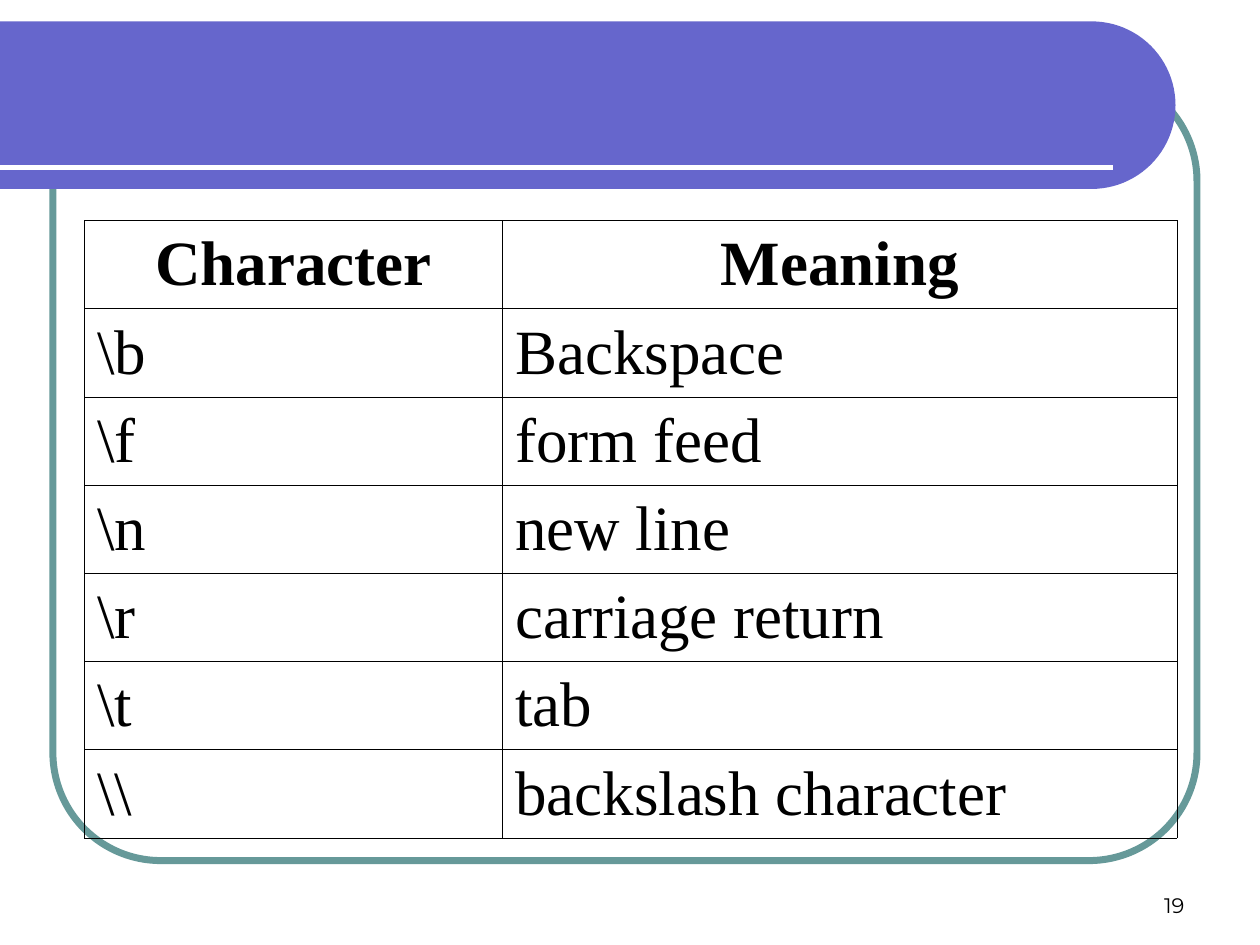
from math import cos, pi, sin

from lxml import etree
from pptx import Presentation
from pptx.dml.color import RGBColor
from pptx.enum.shapes import MSO_CONNECTOR, MSO_SHAPE
from pptx.enum.text import MSO_ANCHOR, PP_ALIGN
from pptx.oxml.ns import qn
from pptx.util import Inches, Pt

LEFT, CENTER, RIGHT = PP_ALIGN.LEFT, PP_ALIGN.CENTER, PP_ALIGN.RIGHT
MIDDLE, BOTTOM = MSO_ANCHOR.MIDDLE, MSO_ANCHOR.BOTTOM
ROUNDED, STRAIGHT = MSO_SHAPE.ROUNDED_RECTANGLE, MSO_CONNECTOR.STRAIGHT

# Content
HEADER = ("Character", "Meaning")
ESCAPES = [
    (r"\b", "Backspace"),
    (r"\f", "form feed"),
    (r"\n", "new line"),
    (r"\r", "carriage return"),
    (r"\t", "tab"),
    (r"\\", "backslash character"),
]
PAGE_NUMBER = "19"

THEME = {
    "band": "6666CC", "frame": "669999", "rule": "FFFFFF", "ink": "000000",
    "table_font": "Times New Roman", "number_font": "Montserrat",
    "table_size": 36, "number_size": 12,
    "frame_width": 4, "rule_width": 3, "border_width": 0.34,
}

# Layout in inches
SLIDE_WIDTH, SLIDE_HEIGHT = 10, 7.5
FRAME = (0.42, 0.58, 9.08, 6.25)
FRAME_CORNER = 0.137
BAND_TOP, BAND_BOTTOM, BAND_RIGHT = 0.17, 1.5, 9.33
RULE_Y, RULE_RIGHT = 1.33, 8.83
TABLE_LEFT, TABLE_TOP = 0.67, 1.75
COLUMNS, ROW_HEIGHT = (3.32, 5.35), 0.7
NUMBER_BOX = (7.17, 6.83, 2.33, 0.5)
ARC_STEPS = 48


def color(name):
    return RGBColor.from_string(THEME[name])


def inches(lengths):
    return [Inches(length) for length in lengths]


def write(frame, text, *, font, size, bold=False, align=LEFT):
    para = frame.paragraphs[0]
    para.alignment = align
    span = para.add_run()
    span.text = text
    span.font.name = THEME[font]
    span.font.size = Pt(THEME[size])
    span.font.bold = bold
    span.font.color.rgb = color("ink")


def add_frame(page):
    frame = page.shapes.add_shape(ROUNDED, *inches(FRAME))
    frame.adjustments[0] = FRAME_CORNER
    frame.shadow.inherit = False
    frame.fill.background()
    frame.line.color.rgb = color("frame")
    frame.line.width = Pt(THEME["frame_width"])


def add_band(page):
    # Straight on the left, half circle on the right
    radius = (BAND_BOTTOM - BAND_TOP) / 2
    center_x, center_y = BAND_RIGHT - radius, BAND_TOP + radius
    angles = [pi * step / ARC_STEPS - pi / 2 for step in range(ARC_STEPS + 1)]
    arc = [(center_x + radius * cos(angle), center_y + radius * sin(angle))
           for angle in angles]
    builder = page.shapes.build_freeform(0, BAND_TOP, scale=Inches(1))
    builder = page.shapes.build_freeform(0, Inches(BAND_TOP))
    builder.add_line_segments([inches(point) for point in arc + [(0, BAND_BOTTOM)]])
    band = builder.convert_to_shape()
    band.shadow.inherit = False
    band.fill.solid()
    band.fill.fore_color.rgb = color("band")
    band.line.fill.background()


def add_rule(page):
    rule = page.shapes.add_connector(
        STRAIGHT, *inches((0, RULE_Y, RULE_RIGHT, RULE_Y)))
    rule.line.color.rgb = color("rule")
    rule.line.width = Pt(THEME["rule_width"])
    etree.SubElement(rule.element.spPr, qn("a:effectLst"))


def set_borders(cell):
    properties = cell._tc.get_or_add_tcPr()
    for index, side in enumerate(("a:lnL", "a:lnR", "a:lnT", "a:lnB")):
        line = etree.Element(qn(side), w=str(Pt(THEME["border_width"])))
        fill = etree.SubElement(line, qn("a:solidFill"))
        etree.SubElement(fill, qn("a:srgbClr"), val=THEME["ink"])
        properties.insert(index, line)


def add_escape_table(page):
    rows = [HEADER] + ESCAPES
    size = (sum(COLUMNS), ROW_HEIGHT * len(rows))
    table = page.shapes.add_table(
        len(rows), len(COLUMNS), *inches((TABLE_LEFT, TABLE_TOP) + size)).table
    table.first_row = table.horz_banding = False
    for column, width in zip(table.columns, COLUMNS):
        column.width = Inches(width)
    for row_index, row in enumerate(rows):
        table.rows[row_index].height = Inches(ROW_HEIGHT)
        is_header = row_index == 0
        for column_index, text in enumerate(row):
            cell = table.cell(row_index, column_index)
            cell.vertical_anchor = MIDDLE
            cell.fill.background()
            set_borders(cell)
            write(cell.text_frame, text, font="table_font", size="table_size",
                  bold=is_header, align=CENTER if is_header else LEFT)


def add_page_number(page):
    frame = page.shapes.add_textbox(*inches(NUMBER_BOX)).text_frame
    frame.word_wrap = True
    frame.vertical_anchor = BOTTOM
    write(frame, PAGE_NUMBER, font="number_font", size="number_size", align=RIGHT)


def main():
    deck = Presentation()
    deck.slide_width, deck.slide_height = inches((SLIDE_WIDTH, SLIDE_HEIGHT))
    page = deck.slides.add_slide(deck.slide_layouts[6])
    for add_part in (add_frame, add_band, add_rule, add_escape_table, add_page_number):
        add_part(page)
    deck.save("out.pptx")


if __name__ == "__main__":
    main()
